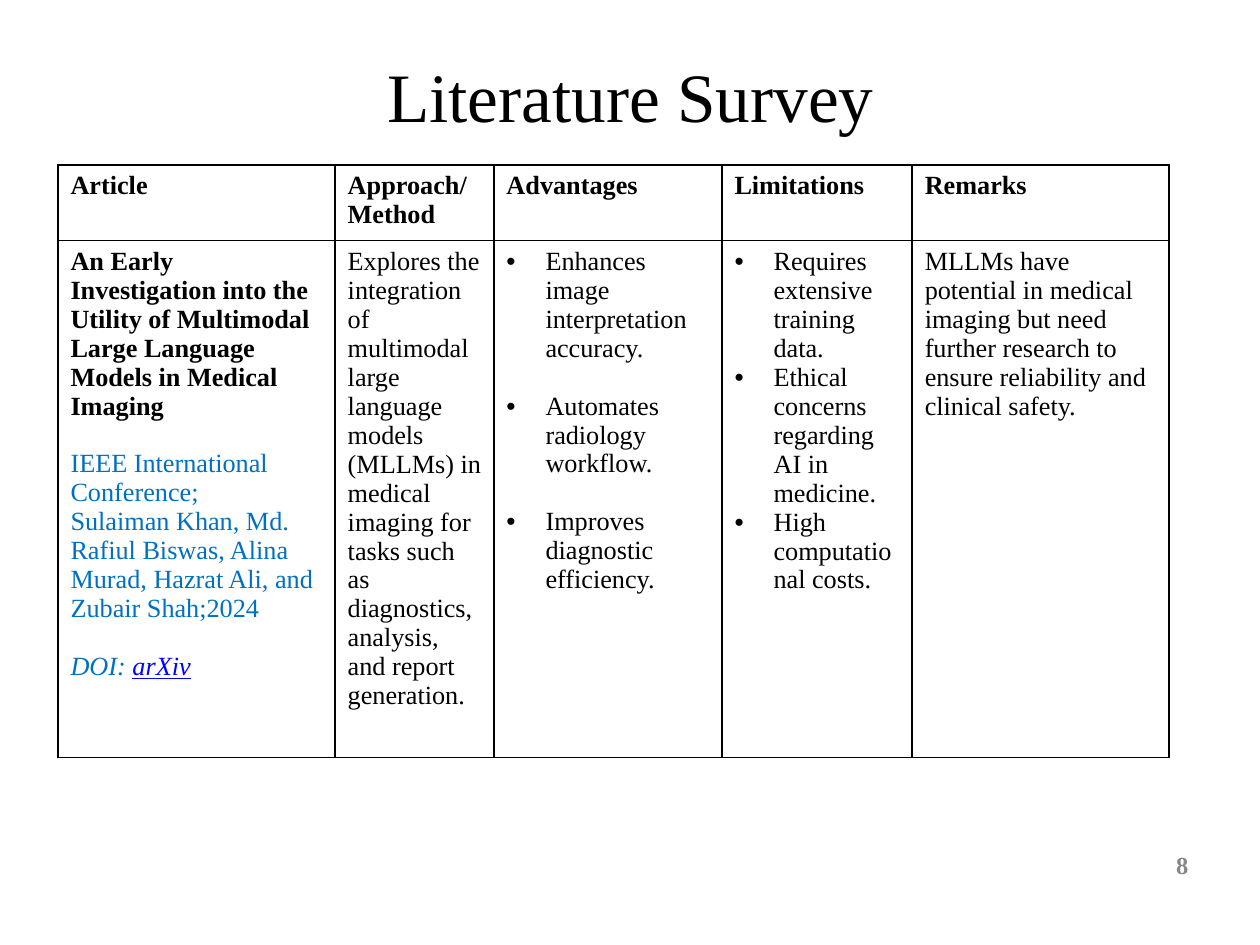
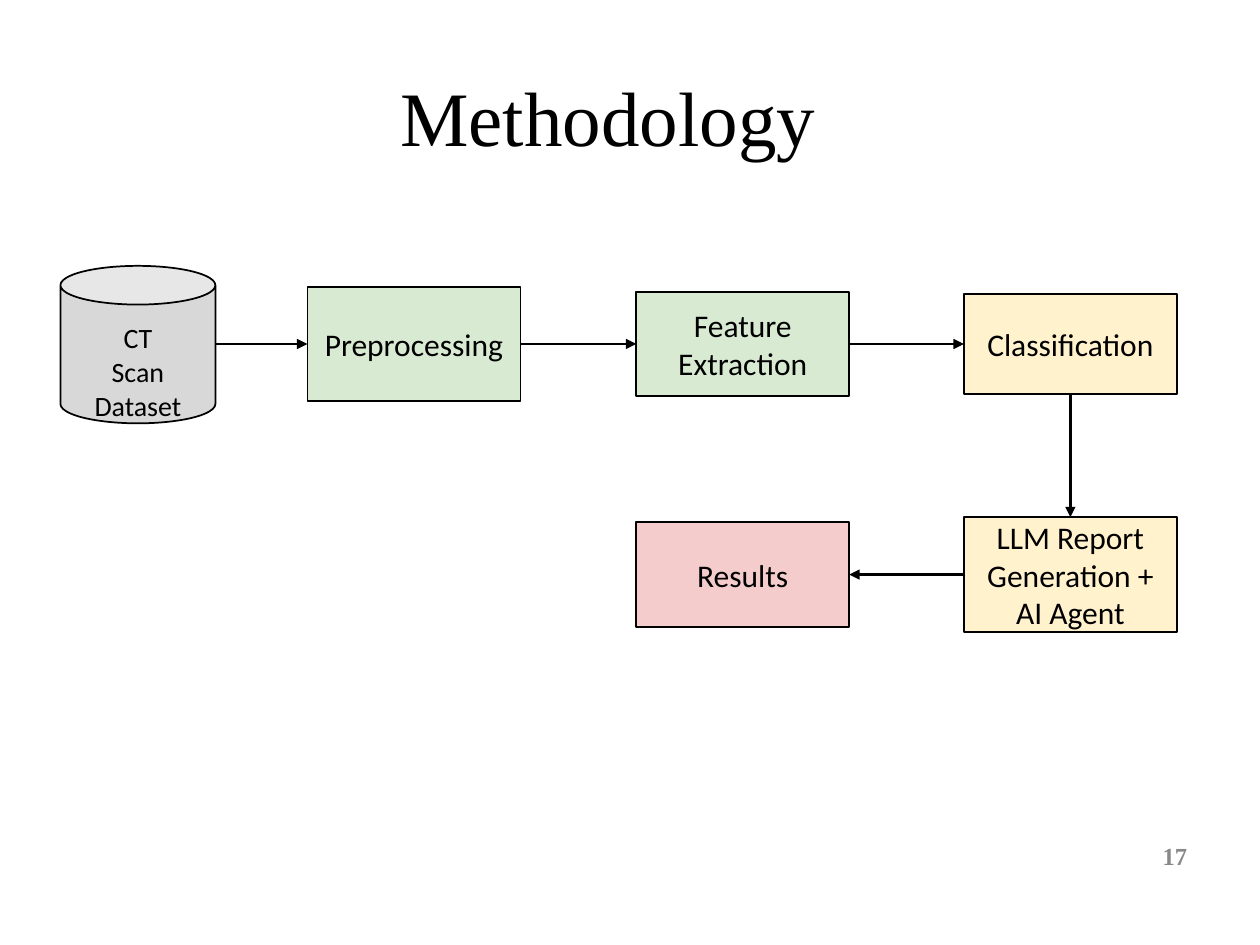
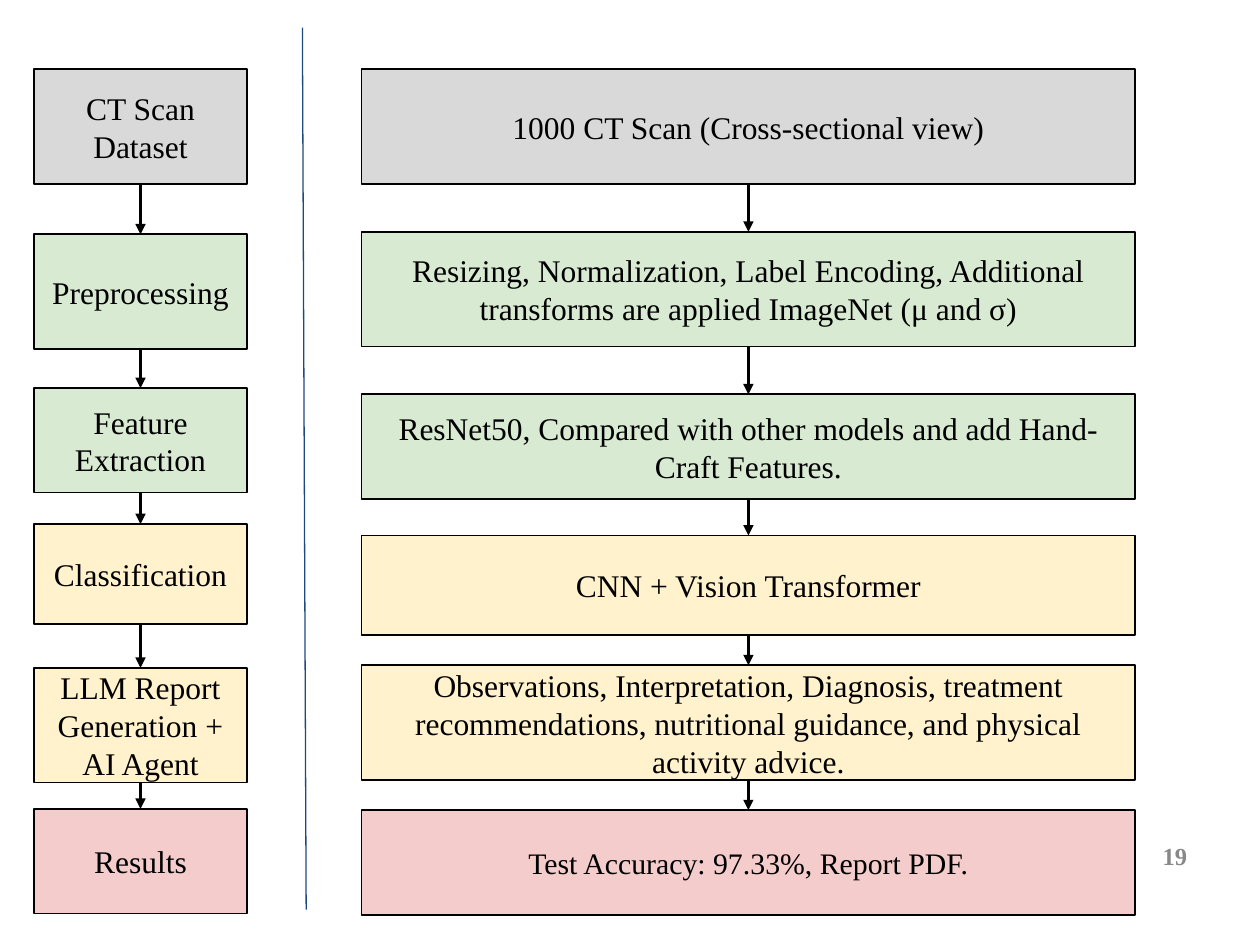
from dataclasses import dataclass

from lxml.etree import SubElement
from pptx import Presentation
from pptx.dml.color import RGBColor
from pptx.enum.shapes import MSO_CONNECTOR, MSO_SHAPE
from pptx.enum.text import MSO_ANCHOR, PP_ALIGN
from pptx.oxml.ns import qn
from pptx.util import Inches, Pt


@dataclass(frozen=True)
class Theme:
    serif: str = "Times New Roman"
    sans: str = "Calibri"
    black: str = "000000"
    number_gray: str = "888888"
    citation: str = "0070C0"
    link: str = "0000FF"
    divider: str = "1F497D"
    can: str = "D8D8D8"
    data: str = "D9D9D9"
    prepare: str = "D9EAD3"
    model: str = "FFF2CC"
    outcome: str = "F4CCCC"
    survey_title: float = 39.6
    title: float = 44
    table: float = 15
    stage: float = 18
    result: float = 17
    can_text: float = 16
    number: float = 14
    blank_line: float = 16.5


THEME = Theme()


@dataclass
class Para:
    runs: list  # (text, font options) pairs
    gap: float = 0
    bullet: bool = False


def plain(text, **options):
    return [Para([(text, options)])]


def bullets(*items, gap=0):
    return [Para([(item, {})], gap if i else 0, True) for i, item in enumerate(items)]


# ---- Content: literature survey ----
HEADINGS = ["Article", "Approach/Method", "Advantages", "Limitations", "Remarks"]
CITED = {"color": THEME.citation}
ARTICLE = [
    Para([("An Early Investigation into the Utility of Multimodal Large Language "
           "Models in Medical Imaging", {"bold": True})]),
    Para([("IEEE International Conference;", CITED)], THEME.blank_line),
    Para([("Sulaiman Khan, Md. Rafiul Biswas, Alina Murad, Hazrat Ali, and "
           "Zubair Shah;2024", CITED)]),
    Para([("DOI: ", {**CITED, "italic": True}),
          ("arXiv", {"color": THEME.link, "italic": True, "underline": True})],
         THEME.blank_line),
]
SURVEY = [
    [plain(heading, bold=True) for heading in HEADINGS],
    [
        ARTICLE,
        plain("Explores the integration of multimodal large language models (MLLMs) "
              "in medical imaging for tasks such as diagnostics, analysis, and report "
              "generation."),
        bullets("Enhances image interpretation accuracy.",
                "Automates radiology workflow.",
                "Improves diagnostic efficiency.", gap=THEME.blank_line),
        bullets("Requires extensive training data.",
                "Ethical concerns regarding AI in medicine.",
                "High computational costs."),
        plain("MLLMs have potential in medical imaging but need further research to "
              "ensure reliability and clinical safety."),
    ],
]
COLUMN_WIDTHS = [2.2, 1.26, 1.81, 1.51, 2.04]
ROW_HEIGHTS = [0.56, 3.78]

# ---- Content: pipeline stages as label, fill, height ----
STAGES = {
    "dataset": ("CT Scan Dataset", THEME.data, 0.91),
    "preprocessing": ("Preprocessing", THEME.prepare, 0.91),
    "features": ("Feature Extraction", THEME.prepare, 0.83),
    "classification": ("Classification", THEME.model, 0.79),
    "report": ("LLM Report Generation + AI Agent", THEME.model, 0.91),
    "results": ("Results", THEME.outcome, 0.83),
}
STAGE_WIDTH = 1.69

# Overview: left edge and middle height of each stage
UPPER_ROW, LOWER_ROW = 2.73, 4.56
OVERVIEW = {
    "preprocessing": (2.44, UPPER_ROW),
    "features": (5.05, UPPER_ROW),
    "classification": (7.65, UPPER_ROW),
    "report": (7.65, LOWER_ROW),
    "results": (5.05, LOWER_ROW),
}
TOP, LEFT, BOTTOM, RIGHT = range(4)
OVERVIEW_LINKS = [
    ("preprocessing", RIGHT, "features", LEFT),
    ("features", RIGHT, "classification", LEFT),
    ("classification", BOTTOM, "report", TOP),
    ("report", LEFT, "results", RIGHT),
]

# Details: stage, its top, detail text, detail top, detail type size
DETAILS = [
    ("dataset", 0.55, "1000 CT Scan (Cross-sectional view)", 0.55, THEME.stage),
    ("preprocessing", 1.86, "Resizing, Normalization, Label Encoding, Additional "
     "transforms are applied ImageNet (μ and σ)", 1.84, THEME.stage),
    ("features", 3.08, "ResNet50, Compared with other models and add Hand-Craft "
     "Features.", 3.13, THEME.stage),
    ("classification", 4.16, "CNN + Vision Transformer", 4.25, THEME.stage),
    ("report", 5.3, "Observations, Interpretation, Diagnosis, treatment "
     "recommendations, nutritional guidance, and physical activity advice.",
     5.28, THEME.stage),
    ("results", 6.42, "Test Accuracy: 97.33%, Report PDF.", 6.43, THEME.result),
]


# ---- Text ----
def add_run(paragraph, text, size, font=THEME.serif, color=THEME.black,
            bold=False, italic=False, underline=False):
    run = paragraph.add_run()
    run.text = text
    run.font.name, run.font.size = font, Pt(size)
    run.font.bold, run.font.italic, run.font.underline = bold, italic, underline
    run.font.color.rgb = RGBColor.from_string(color)


def write_lines(frame, lines, size, align=PP_ALIGN.CENTER, **options):
    frame.word_wrap = True
    frame.vertical_anchor = MSO_ANCHOR.MIDDLE
    for i, line in enumerate(lines):
        paragraph = frame.add_paragraph() if i else frame.paragraphs[0]
        paragraph.alignment = align
        add_run(paragraph, line, size, **options)


def add_label(slide, box, text, size, **options):
    label = slide.shapes.add_textbox(*map(Inches, box))
    write_lines(label.text_frame, [text], size, **options)


def add_page_number(slide, number, left=7.19, top=6.59):
    add_label(slide, (left, top, 2.33, 0.4), str(number), THEME.number,
              align=PP_ALIGN.RIGHT, color=THEME.number_gray, bold=True)


# ---- Diagram parts ----
def add_block(slide, box, lines, fill, size=THEME.stage, font=THEME.serif,
              kind=MSO_SHAPE.RECTANGLE):
    block = slide.shapes.add_shape(kind, *map(Inches, box))
    block.shadow.inherit = False
    block.fill.solid()
    block.fill.fore_color.rgb = RGBColor.from_string(fill)
    block.line.color.rgb = RGBColor.from_string(THEME.black)
    block.line.width = Pt(1)
    write_lines(block.text_frame, lines, size, font=font)
    return block


def add_line(slide, start=(0, 0), end=(0, 0), color=THEME.black, width=1.5, arrow=True):
    line = slide.shapes.add_connector(MSO_CONNECTOR.STRAIGHT, *map(Inches, start + end))
    line.line.color.rgb = RGBColor.from_string(color)
    line.line.width = Pt(width)
    if arrow:
        SubElement(line.line._get_or_add_ln(), qn("a:tailEnd"), type="triangle")
    SubElement(line._element.spPr, qn("a:effectLst"))
    return line


def link(slide, source, source_side, target, target_side):
    arrow = add_line(slide)
    arrow.begin_connect(source, source_side)
    arrow.end_connect(target, target_side)


# ---- Table cells ----
def add_borders(cell):
    properties = cell._tc.get_or_add_tcPr()
    for position, side in enumerate(("a:lnL", "a:lnR", "a:lnT", "a:lnB")):
        border = properties.makeelement(qn(side), {"w": str(Pt(1))})
        solid = SubElement(border, qn("a:solidFill"))
        SubElement(solid, qn("a:srgbClr"), val=THEME.black)
        properties.insert(position, border)


def add_bullet(paragraph):
    properties = paragraph._p.get_or_add_pPr()
    properties.set("marL", str(Inches(0.31)))
    properties.set("indent", str(-Inches(0.31)))
    SubElement(properties, qn("a:buFont"), typeface="Arial")
    SubElement(properties, qn("a:buChar"), char="•")


def fill_cell(cell, paras):
    cell.fill.background()
    add_borders(cell)
    cell.margin_left = cell.margin_right = Inches(0.1)
    cell.margin_top = cell.margin_bottom = Inches(0.05)
    for i, para in enumerate(paras):
        paragraph = cell.text_frame.add_paragraph() if i else cell.text_frame.paragraphs[0]
        if para.bullet:
            add_bullet(paragraph)
        if para.gap:
            paragraph.space_before = Pt(para.gap)
        for text, options in para.runs:
            add_run(paragraph, text, THEME.table, **options)


# ---- Slides ----
def build_survey(slide):
    add_label(slide, (0.2, 0.13, 9.61, 1.25), "Literature Survey", THEME.survey_title)
    survey = slide.shapes.add_table(
        len(SURVEY), len(HEADINGS), Inches(0.46), Inches(1.31),
        Inches(sum(COLUMN_WIDTHS)), Inches(sum(ROW_HEIGHTS))).table
    survey.first_row = survey.horz_banding = False
    for column, width in zip(survey.columns, COLUMN_WIDTHS):
        column.width = Inches(width)
    for row, height, contents in zip(survey.rows, ROW_HEIGHTS, SURVEY):
        row.height = Inches(height)
        for cell, paras in zip(row.cells, contents):
            fill_cell(cell, paras)
    add_page_number(slide, 8, 7.2, 6.66)


def build_overview(slide):
    add_label(slide, (0.49, 0.29, 8.67, 1.25), "Methodology", THEME.title)
    dataset = add_block(slide, (0.48, 2.11, 1.23, 1.25), ["CT", "Scan", "Dataset"],
                        THEME.can, THEME.can_text, THEME.sans, MSO_SHAPE.CAN)
    dataset.text_frame.margin_top = Inches(0.32)

    blocks = {}
    for stage, (left, middle) in OVERVIEW.items():
        label, fill, height = STAGES[stage]
        box = (left, middle - height / 2, STAGE_WIDTH, height)
        blocks[stage] = add_block(slide, box, [label], fill, font=THEME.sans)

    from_dataset = add_line(slide, (1.71, UPPER_ROW), (2.44, UPPER_ROW))
    from_dataset.end_connect(blocks["preprocessing"], LEFT)
    for source, source_side, target, target_side in OVERVIEW_LINKS:
        link(slide, blocks[source], source_side, blocks[target], target_side)
    add_page_number(slide, 17)


def build_details(slide):
    stages, details = [], []
    for stage, stage_top, detail, detail_top, size in DETAILS:
        label, fill, height = STAGES[stage]
        stages.append(add_block(slide, (0.27, stage_top, STAGE_WIDTH, height),
                                [label], fill))
        details.append(add_block(slide, (2.87, detail_top, 6.14, height),
                                 [detail], fill, size))
    for chain in (stages, details):
        for upper, lower in zip(chain, chain[1:]):
            link(slide, upper, BOTTOM, lower, TOP)
    add_line(slide, (2.4, 0.22), (2.43, 7.22), THEME.divider, 0.75, arrow=False)
    add_page_number(slide, 19)


def main():
    deck = Presentation()
    deck.slide_width, deck.slide_height = Inches(10), Inches(7.5)
    for build in (build_survey, build_overview, build_details):
        build(deck.slides.add_slide(deck.slide_layouts[6]))
    deck.save("out.pptx")


if __name__ == "__main__":
    main()
